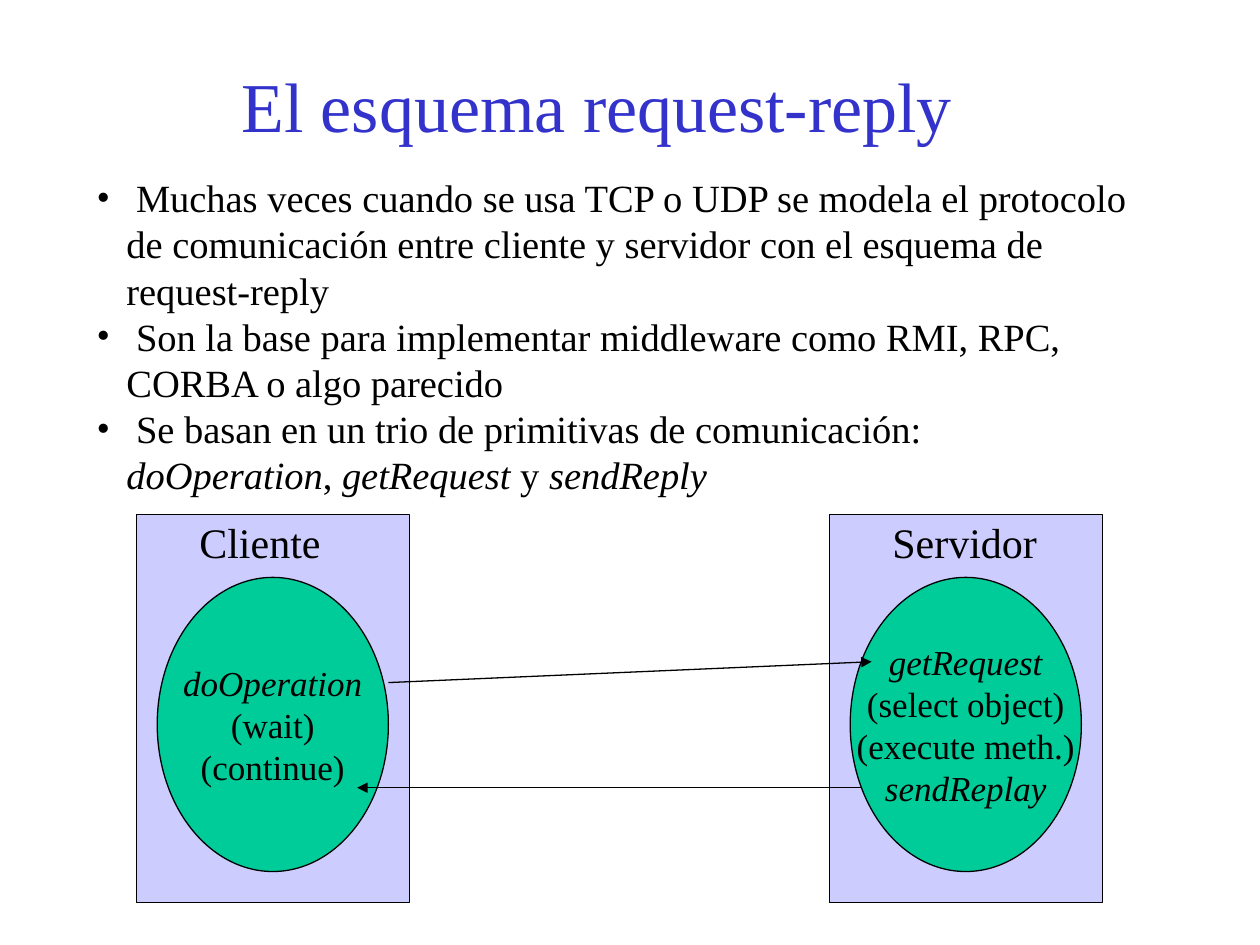
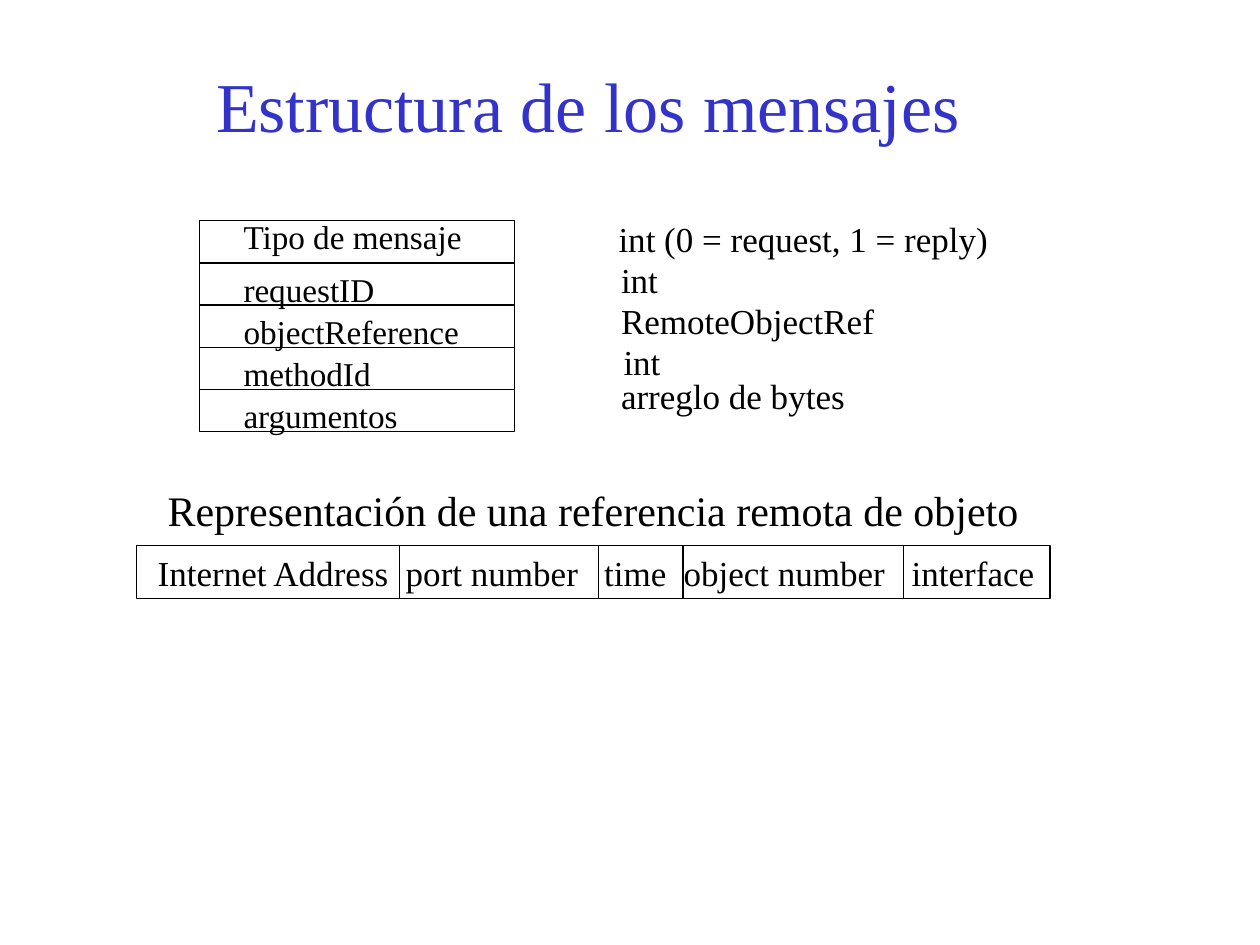
from lxml.etree import SubElement
from pptx import Presentation
from pptx.dml.color import RGBColor
from pptx.enum.shapes import MSO_CONNECTOR, MSO_SHAPE
from pptx.enum.text import MSO_ANCHOR, PP_ALIGN
from pptx.oxml.ns import qn
from pptx.util import Cm, Pt

FONT = "Times New Roman"
BLACK, TITLE_BLUE, HOST_LILAC, PROCESS_GREEN = "000000", "3333CC", "CCCCFF", "00CC99"
LINE_WIDTH = Pt(0.75)


def color(value):
    """Turn a hex string into a colour."""
    return RGBColor.from_string(value)


def add_runs(paragraph, pieces, size, hex_color=BLACK):
    """Add (text, italic) pieces to a paragraph as formatted runs."""
    for text, italic in pieces:
        run = paragraph.add_run()
        run.text = text
        run.font.name, run.font.size = FONT, Pt(size)
        run.font.italic = italic
        run.font.color.rgb = color(hex_color)


def add_lines(text_frame, lines, size, align=PP_ALIGN.LEFT, hex_color=BLACK):
    """Fill a text frame with one paragraph per list of pieces."""
    for index, pieces in enumerate(lines):
        paragraph = text_frame.add_paragraph() if index else text_frame.paragraphs[0]
        paragraph.alignment = align
        add_runs(paragraph, pieces, size, hex_color)


def add_label(slide, text, left, top, width, height, size):
    """Add a left-aligned text box wide enough for its single line."""
    label = slide.shapes.add_textbox(Cm(left), Cm(top), Cm(width), Cm(height))
    label.text_frame.word_wrap = True
    add_lines(label.text_frame, [[(text, False)]], size)
    return label


def add_outlined(slide, preset, left, top, width, height, fill=None):
    """Add a preset shape with a thin black outline."""
    shape = slide.shapes.add_shape(preset, Cm(left), Cm(top), Cm(width), Cm(height))
    shape.shadow.inherit = False
    shape.line.color.rgb = color(BLACK)
    shape.line.width = LINE_WIDTH
    if fill:
        shape.fill.solid()
        shape.fill.fore_color.rgb = color(fill)
    else:
        shape.fill.background()
    return shape


def add_line(slide, start, end, arrow=False):
    """Add a thin black line, with an arrowhead at its end if asked."""
    line = slide.shapes.add_connector(MSO_CONNECTOR.STRAIGHT, *map(Cm, start + end))
    line.line.color.rgb = color(BLACK)
    line.line.width = LINE_WIDTH
    if arrow:
        SubElement(line.line._get_or_add_ln(), qn("a:tailEnd"), type="triangle")
    SubElement(line._element.spPr, qn("a:effectLst"))


def add_title_slide(presentation, title):
    """Add a blank slide with the shared title."""
    slide = presentation.slides.add_slide(presentation.slide_layouts[6])
    box = slide.shapes.add_textbox(Cm(2.1), Cm(1.05), Cm(19.86), Cm(2.12))
    box.text_frame.word_wrap = True
    box.text_frame.vertical_anchor = MSO_ANCHOR.MIDDLE
    add_lines(box.text_frame, [[(title, False)]], 40, PP_ALIGN.CENTER, TITLE_BLUE)
    return slide


def add_bullets(slide, left, top, width, height, lines):
    """Add the bulleted introduction."""
    box = slide.shapes.add_textbox(Cm(left), Cm(top), Cm(width), Cm(height))
    box.text_frame.word_wrap = True
    add_lines(box.text_frame, lines, 22)
    for paragraph in box.text_frame.paragraphs:
        properties = paragraph._p.get_or_add_pPr()
        properties.set("marL", str(Cm(0.6)))
        properties.set("indent", str(-Cm(0.6)))
        bullet_color = SubElement(properties, qn("a:buClr"))
        SubElement(bullet_color, qn("a:srgbClr"), val=BLACK)
        SubElement(properties, qn("a:buFont"), typeface=FONT)
        SubElement(properties, qn("a:buChar"), char="•")


def add_host(slide, left, top, name, name_width, steps):
    """Add a named host box with its process ellipse."""
    add_outlined(slide, MSO_SHAPE.RECTANGLE, left, top, 5.5, 7.83, HOST_LILAC)
    add_label(slide, name, left + 1.02, top - 0.08, name_width, 1.27, 24)
    process = add_outlined(slide, MSO_SHAPE.OVAL, left + 0.42, top + 1.27, 4.66, 5.93, PROCESS_GREEN)
    process.text_frame.word_wrap = False
    process.text_frame.vertical_anchor = MSO_ANCHOR.MIDDLE
    add_lines(process.text_frame, [[step] for step in steps], 20, PP_ALIGN.CENTER)


def add_message_fields(slide, left, top, fields):
    """Add the stacked message fields with their types alongside."""
    row_height = 0.85
    for row, (field, field_width, kind, kind_width, kind_left, kind_top) in enumerate(fields):
        row_top = top + row * row_height
        add_outlined(slide, MSO_SHAPE.RECTANGLE, left, row_top, 6.35, row_height)
        field_top = row_top if row else top - 0.22
        add_label(slide, field, left + 0.64, field_top, field_width, 1.07, 19)
        add_label(slide, kind, left + kind_left, top + kind_top, kind_width, 1.12, 20)


def add_reference_strip(slide, left, top, caption, parts, dividers, tab_stops):
    """Add the captioned strip of remote reference parts."""
    width, height = 18.42, 1.06
    add_label(slide, caption, left + 0.38, top - 1.35, 18, 1.27, 24)
    add_outlined(slide, MSO_SHAPE.RECTANGLE, left, top, width, height)
    for divider in dividers:
        add_line(slide, (left + divider, top), (left + divider, top + height))
    label = add_label(slide, "\t".join(parts), left + 0.18, top, 18.6, 1.12, 20)
    properties = label.text_frame.paragraphs[0]._p.get_or_add_pPr()
    tabs = SubElement(properties, qn("a:tabLst"))
    for stop in tab_stops:
        SubElement(tabs, qn("a:tab"), pos=str(Cm(stop)), algn="l")


def build_request_reply(presentation):
    """Build the slide on the request-reply scheme."""
    slide = add_title_slide(presentation, "El esquema request-reply")
    add_bullets(slide, 1.7, 3.39, 21.38, 10.5, [
        [(" Muchas veces cuando se usa TCP o UDP se modela el protocolo de comunicación "
          "entre cliente y servidor con el esquema de request-reply", False)],
        [(" Son la base para implementar middleware como RMI, RPC, CORBA o algo parecido", False)],
        [(" Se basan en un trio de primitivas de comunicación: ", False), ("doOperation", True),
         (", ", False), ("getRequest", True), (" y ", False), ("sendReply", True)],
    ])
    add_host(slide, 2.75, 10.37, "Cliente", 3.2,
             [("doOperation", True), ("(wait)", False), ("(continue)", False)])
    add_host(slide, 16.72, 10.37, "Servidor", 3.7,
             [("getRequest", True), ("(select object)", False),
              ("(execute meth.)", False), ("sendReplay", True)])
    add_line(slide, (7.83, 13.76), (17.57, 13.34), arrow=True)
    add_line(slide, (17.36, 15.88), (7.2, 15.88), arrow=True)


def build_message_structure(presentation):
    """Build the slide on the structure of messages."""
    slide = add_title_slide(presentation, "Estructura de los mensajes ")
    add_message_fields(slide, 4.02, 4.45, [
        ("Tipo de mensaje", 5.2, "int (0 = request, 1 = reply)", 8.3, 8.2, -0.18),
        ("requestID", 3.4, "int", 1.5, 8.25, 0.64),
        ("objectReference", 5.1, "RemoteObjectRef", 5.9, 8.25, 1.47),
        ("methodId", 3.3, "int", 1.5, 8.3, 2.29),
        ("argumentos", 3.9, "arreglo de bytes", 5.3, 8.25, 2.97),
    ])
    add_reference_strip(
        slide, 2.75, 11,
        "Representación de una referencia remota de objeto",
        ["Internet Address", "port number", "time", "object number", "interface"],
        dividers=[5.3, 9.32, 11.02, 15.46],
        tab_stops=[5, 9, 10.6, 15.2],
    )


def main():
    """Build and save the presentation."""
    presentation = Presentation()
    presentation.slide_width, presentation.slide_height = Cm(25.4), Cm(19.05)
    build_request_reply(presentation)
    build_message_structure(presentation)
    presentation.save("out.pptx")


if __name__ == "__main__":
    main()
